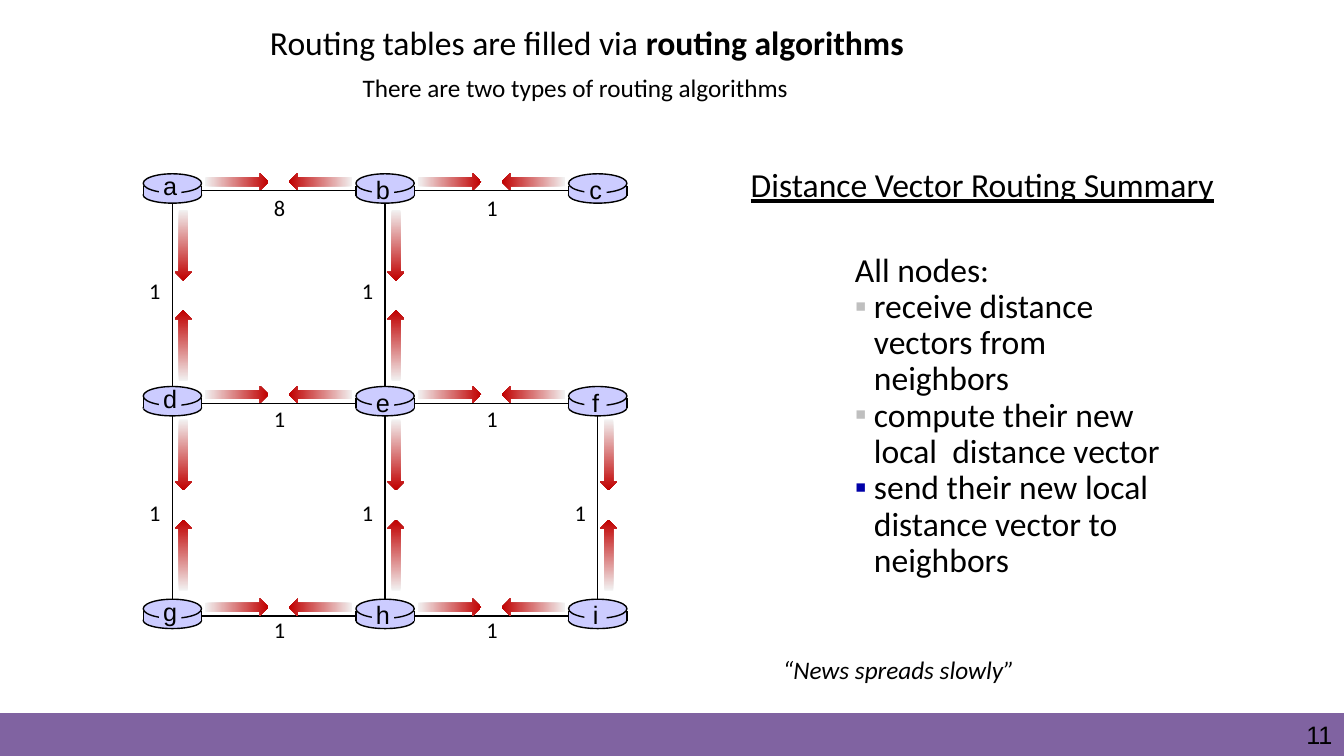
from lxml.etree import SubElement
from pptx import Presentation
from pptx.dml.color import RGBColor
from pptx.enum.shapes import MSO_CONNECTOR, MSO_SHAPE
from pptx.enum.text import MSO_ANCHOR, MSO_AUTO_SIZE, PP_ALIGN
from pptx.oxml.ns import qn
from pptx.util import Cm, Pt

LEFT, TOP, STEP = 4.34, 4.8, 5.36
NODES = ("abc", "def", "ghi")
ACROSS = ((8, 1), (1, 1), (1, 1))
DOWN = ((1, 1, None), (1, 1, 1))
TASKS = (
    ("receive distance vectors from neighbors", "BFBFBF"),
    ("compute their new local  distance vector", "BFBFBF"),
    ("send their new local distance vector to neighbors", "0000A8"),
)


def tint(code):
    return RGBColor.from_string(code)


def write(para, text, size=24, font="Calibri", color="000000", **marks):
    """Add a run; marks are bold, italic or underline."""
    run = para.add_run()
    run.text = text
    run.font.size, run.font.name = Pt(size), font
    run.font.color.rgb = tint(color)
    for name, value in marks.items():
        setattr(run.font, name, value)


class Canvas:
    ink, face, bar = "000000", "CCCCFF", "8063A1"
    pale, red = "F2F2F2", "C00000"

    def __init__(self, slide):
        self.slide = slide

    def place(self, shape, x, y, w, h):
        """Move a text shape and return its cleanly set frame."""
        shape.left, shape.top = Cm(x), Cm(y)
        shape.width, shape.height = Cm(w), Cm(h)
        frame = shape.text_frame
        frame.word_wrap = True
        frame.auto_size = MSO_AUTO_SIZE.NONE
        frame.vertical_anchor = MSO_ANCHOR.TOP
        return frame

    def text(self, words, x, y, w, h, align=PP_ALIGN.LEFT, home=None, **style):
        home = home or self.slide.shapes
        box = home.add_textbox(0, 0, 0, 0)
        frame = self.place(box, x, y, w, h)
        para = frame.paragraphs[0]
        para.alignment = align
        write(para, words, **style)
        return frame

    def shape(self, kind, x, y, w, h, fill=None, line=None, home=None):
        home = home or self.slide.shapes
        item = home.add_shape(kind, Cm(x), Cm(y), Cm(w), Cm(h))
        item.shadow.inherit = False
        if fill:
            item.fill.solid()
            item.fill.fore_color.rgb = tint(fill)
        if line:
            item.line.color.rgb = tint(line)
            item.line.width = Pt(1)
        else:
            item.line.fill.background()
        return item

    def line(self, x1, y1, x2, y2, home=None):
        home = home or self.slide.shapes
        item = home.add_connector(
            MSO_CONNECTOR.STRAIGHT, Cm(x1), Cm(y1), Cm(x2), Cm(y2))
        item.line.color.rgb = tint(self.ink)
        item.line.width = Pt(1)
        SubElement(item._element.spPr, qn("a:effectLst"))

    def arrow(self, x, y, length, turn):
        """Draw a fading arrow centred on x, y."""
        item = self.shape(
            MSO_SHAPE.RIGHT_ARROW, x - length / 2, y - 0.22, length, 0.44)
        item.rotation = turn
        item.fill.gradient()
        item.fill.gradient_angle = 0
        for stop, code, spot in zip(
                item.fill.gradient_stops, (self.pale, self.red), (0, 1)):
            stop.color.rgb = tint(code)
            stop.position = spot

    def node(self, name, x, y, lift):
        home = self.slide.shapes.add_group_shape().shapes
        oval, rect = MSO_SHAPE.OVAL, MSO_SHAPE.RECTANGLE
        self.shape(oval, x - 0.73, y - 0.09, 1.47, 0.41, self.face, self.ink, home)
        self.shape(rect, x - 0.73, y - 0.12, 1.46, 0.25, self.face, home=home)
        for side in (x - 0.73, x + 0.74):
            self.line(side, y - 0.12, side, y + 0.13, home)
        self.shape(oval, x - 0.73, y - 0.42, 1.47, 0.48, self.face, self.ink, home)
        self.shape(rect, x - 0.33, y - 0.29, 0.56, 0.51, self.face, home=home)
        self.text(name, x - 0.5, y - 0.53 - lift, 0.9, 1.02, PP_ALIGN.CENTER,
                  home, size=18, font="Arial")

    def cost(self, value, x, y):
        self.text(str(value), x, y, 0.83, 0.94, size=16)

    def tasks(self, frame):
        head = frame.paragraphs[0]
        paras = [head] + [frame.add_paragraph() for _ in TASKS]
        for para in paras:
            para.line_spacing = 0.9
            para.space_before = Pt(0)
        props = head._p.get_or_add_pPr()
        props.set("marL", "0")
        props.set("indent", "0")
        SubElement(props, qn("a:buNone"))
        write(head, "All nodes:")
        for para, (words, code) in zip(paras[1:], TASKS):
            props = para._p.get_or_add_pPr()
            props.set("marL", str(Cm(0.48)))
            props.set("indent", str(-Cm(0.48)))
            color = SubElement(props, qn("a:buClr"))
            SubElement(color, qn("a:srgbClr"), val=code)
            SubElement(props, qn("a:buFont"), typeface="Arial")
            SubElement(props, qn("a:buChar"), char="▪")
            write(para, words)


def spot(col, row):
    """Centre of a node in the grid."""
    return LEFT + col * STEP, TOP + row * STEP


def draw_graph(art):
    across = [(c, r, cost) for r, row in enumerate(ACROSS)
              for c, cost in enumerate(row)]
    down = [(c, r, cost) for r, row in enumerate(DOWN)
            for c, cost in enumerate(row) if cost]
    for col, row, _ in across:
        art.line(*spot(col, row), *spot(col + 1, row))
    for col, row, _ in down:
        art.line(*spot(col, row), *spot(col, row + 1))
    for row, names in enumerate(NODES):
        for col, name in enumerate(names):
            art.node(name, *spot(col, row), 0 if col else 0.1)
    for col, row, cost in across:
        x, y = spot(col, row)
        art.cost(cost, x + 2.31, y - 0.03 - 0.04 * row)
        art.arrow(x + 1.63, y - 0.22, 1.6, 0)
        art.arrow(x + 3.74, y - 0.22, 1.6, 180)
    for col, row, cost in down:
        x, y = spot(col, row)
        art.cost(cost, x - 0.83, y + 2.05 + 0.24 * row)
        start = y + 1.38 - 0.08 * row
        art.arrow(x + 0.28, start, 1.78, 90)
        art.arrow(x + 0.28, start + 2.53, 1.78, 270)


def main():
    deck = Presentation()
    deck.slide_width, deck.slide_height = Cm(33.87), Cm(19.05)
    slide = deck.slides.add_slide(deck.slide_layouts[1])
    art = Canvas(slide)
    title, body = slide.placeholders
    para = art.place(title, 6.55, 0.43, 18.57, 1.27).paragraphs[0]
    para.alignment = PP_ALIGN.LEFT
    write(para, "Routing tables are filled via ")
    write(para, "routing algorithms", bold=True)
    art.tasks(art.place(body, 21.29, 6.25, 8.89, 9.5))
    art.shape(MSO_SHAPE.RECTANGLE, 0, 17.98, 33.87, 1.07, art.bar, art.bar)
    page = art.text("11", 32.92, 18.16, 0.95, 0.79, size=18, font="Arial")
    page.margin_left = page.margin_right = 0
    page.margin_top = page.margin_bottom = 0
    page.paragraphs[0].line_spacing = Pt(20.9)
    art.text("There are two types of routing algorithms",
             8.89, 1.7, 12.17, 1.02, size=18)
    art.text("Distance Vector Routing Summary",
             18.67, 4.01, 13.64, 1.27, underline=True)
    art.text("“News spreads slowly”", 19.48, 16.36, 6.93, 1.02,
             size=18, italic=True)
    draw_graph(art)
    deck.save("out.pptx")


if __name__ == "__main__":
    main()
